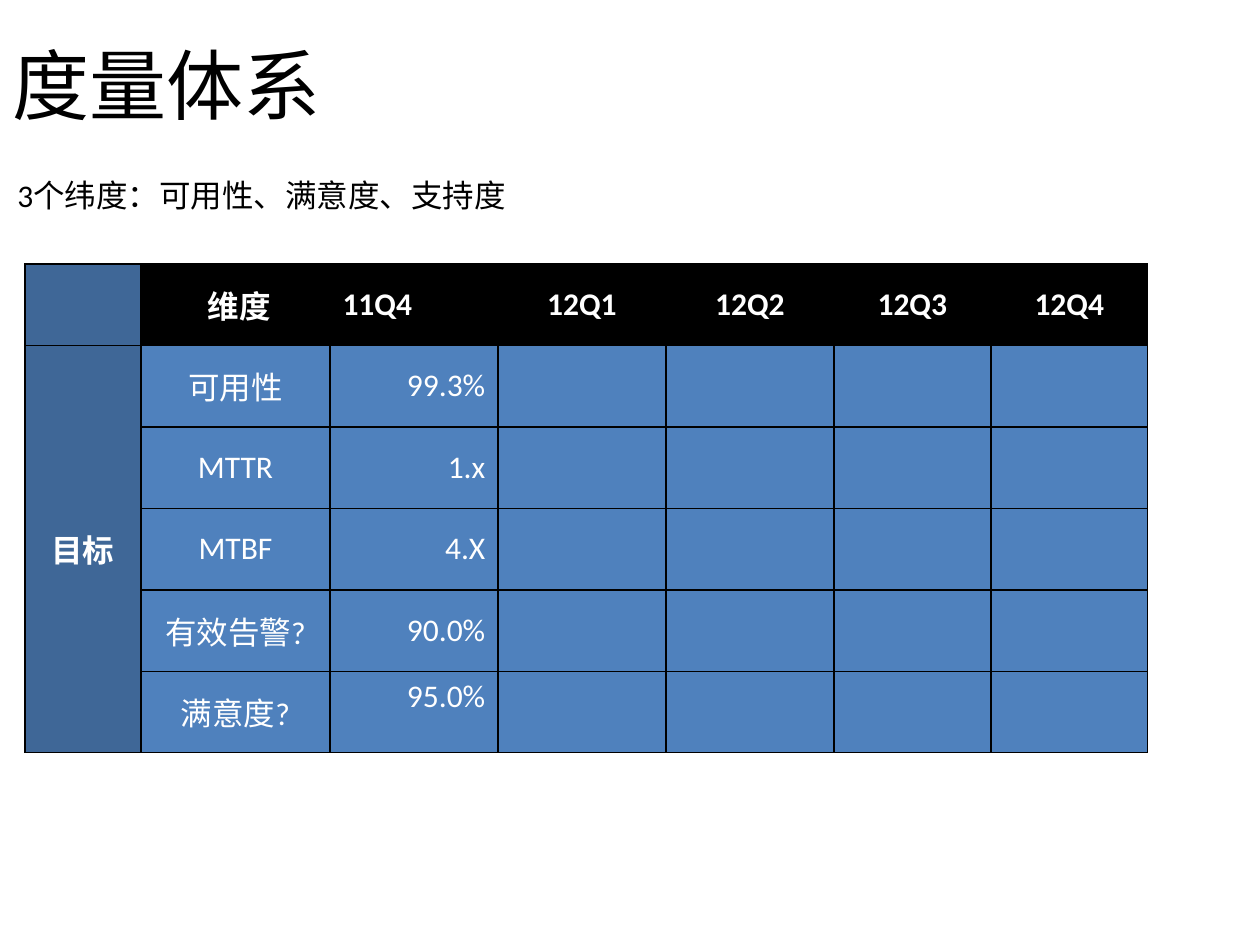
from dataclasses import dataclass

from lxml import etree
from pptx import Presentation
from pptx.dml.color import RGBColor
from pptx.enum.text import MSO_ANCHOR, PP_ALIGN
from pptx.oxml.ns import qn
from pptx.util import Emu, Pt

LEFT, CENTER, RIGHT = PP_ALIGN.LEFT, PP_ALIGN.CENTER, PP_ALIGN.RIGHT
TOP, MIDDLE = MSO_ANCHOR.TOP, MSO_ANCHOR.MIDDLE
EMU_PER_PX = 914400 // 126


@dataclass(frozen=True)
class Theme:
    font: str = "Calibri"
    title_size: int = 44
    text_size: int = 18
    border_width: int = 1
    ink: str = "000000"
    header: str = "000000"
    goal: str = "3F6797"
    body: str = "4F81BD"
    on_fill: str = "FFFFFF"


THEME = Theme()

COLUMN_WIDTHS = [116, 189, 168, 168, 168, 157, 157]
TABLE_HEIGHT = 489
QUARTERS = ["11Q4", "12Q1", "12Q2", "12Q3", "12Q4"]
METRICS = [
    ("可用性", "99.3%"),
    ("MTTR", "1.x"),
    ("MTBF", "4.X"),
    ("有效告警?", "90.0%"),
    ("满意度?", "95.0%"),
]


def px(length):
    return Emu(length * EMU_PER_PX)


def write(frame, text, size=THEME.text_size, color=THEME.ink, bold=False, align=LEFT):
    para = frame.paragraphs[0]
    para.alignment = align
    span = para.add_run()
    span.text = text
    span.font.name = THEME.font
    span.font.size = Pt(size)
    span.font.bold = bold
    span.font.color.rgb = RGBColor.from_string(color)


def add_text(page, text, left, top, width, height, anchor=TOP, margin_top=6, **style):
    box = page.shapes.add_textbox(px(left), px(top), px(width), px(height))
    frame = box.text_frame
    frame.word_wrap = True
    frame.vertical_anchor = anchor
    frame.margin_top = px(margin_top)
    write(frame, text, **style)


def set_borders(cell):
    """Draw all four sides; the lines must precede the fill in tcPr."""
    properties = cell._tc.get_or_add_tcPr()
    for index, side in enumerate(("a:lnL", "a:lnR", "a:lnT", "a:lnB")):
        line = etree.Element(qn(side), w=str(Pt(THEME.border_width)))
        fill = etree.SubElement(line, qn("a:solidFill"))
        etree.SubElement(fill, qn("a:srgbClr"), val=THEME.ink)
        properties.insert(index, line)


def fill_cell(cell, color):
    cell.fill.solid()
    cell.fill.fore_color.rgb = RGBColor.from_string(color)
    set_borders(cell)


def write_cell(cell, text, anchor=MIDDLE, **style):
    cell.vertical_anchor = anchor
    write(cell.text_frame, text, color=THEME.on_fill, **style)


def cell_color(row, column):
    if column == 0:
        return THEME.goal
    return THEME.header if row == 0 else THEME.body


def add_metric_table(page):
    row_count = len(METRICS) + 1
    table = page.shapes.add_table(
        row_count, len(COLUMN_WIDTHS), px(25), px(264),
        px(sum(COLUMN_WIDTHS)), px(TABLE_HEIGHT),
    ).table
    for column, width in zip(table.columns, COLUMN_WIDTHS):
        column.width = px(width)
    for row in range(row_count):
        for column in range(len(COLUMN_WIDTHS)):
            fill_cell(table.cell(row, column), cell_color(row, column))

    write_cell(table.cell(0, 1), " 维度", bold=True, align=CENTER)
    for column, quarter in enumerate(QUARTERS, start=2):
        align = LEFT if column == 2 else CENTER
        write_cell(table.cell(0, column), quarter, bold=True, align=align)

    goal = table.cell(1, 0)
    goal.merge(table.cell(row_count - 1, 0))
    write_cell(goal, "目标", bold=True, align=CENTER)
    for row, (metric, value) in enumerate(METRICS, start=1):
        write_cell(table.cell(row, 1), metric, align=CENTER)
        anchor = TOP if row == len(METRICS) else MIDDLE
        write_cell(table.cell(row, 2), value, anchor=anchor, align=RIGHT)


def main():
    deck = Presentation()
    deck.slide_width, deck.slide_height = px(1260), px(945)
    page = deck.slides.add_slide(deck.slide_layouts[6])
    add_text(page, "度量体系", 0, 26, 828, 116, anchor=MIDDLE, size=THEME.title_size)
    add_text(page, "3个纬度：可用性、满意度、支持度", 5, 125, 1092, 136, margin_top=51)
    add_metric_table(page)
    deck.save("out.pptx")


if __name__ == "__main__":
    main()
